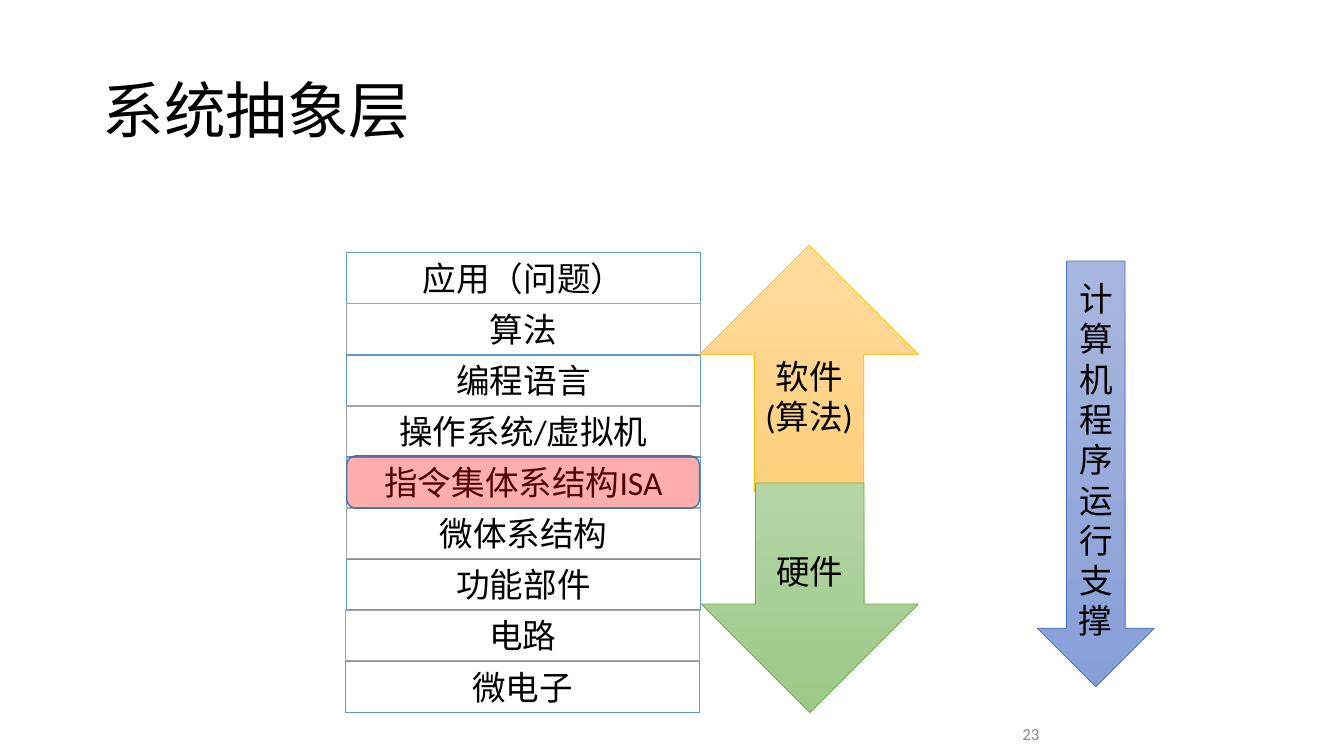
from pptx import Presentation
from pptx.dml.color import RGBColor
from pptx.enum.shapes import MSO_SHAPE
from pptx.enum.text import MSO_ANCHOR, MSO_AUTO_SIZE, PP_ALIGN
from pptx.oxml.ns import qn
from pptx.util import Pt
from lxml import etree

RECT, ROUND = MSO_SHAPE.RECTANGLE, MSO_SHAPE.ROUNDED_RECTANGLE
UP, DOWN = MSO_SHAPE.UP_ARROW, MSO_SHAPE.DOWN_ARROW
TOP, MIDDLE = MSO_ANCHOR.TOP, MSO_ANCHOR.MIDDLE
LEFT, CENTER, RIGHT = PP_ALIGN.LEFT, PP_ALIGN.CENTER, PP_ALIGN.RIGHT

COLORS = {
    "black": "000000", "white": "FFFFFF", "gray": "8C8C8C",
    "blue": "5B9BD5", "silver": "A5A5A5", "red": "FF0000", "navy": "43739E",
    "gold": "FFC000", "gold_a": "FFDB9E", "gold_b": "FFD07C",
    "green": "70AD47", "green_a": "B5D5A7", "green_b": "9CC987",
    "indigo": "4472C4", "indigo_a": "A8B7DF", "indigo_b": "889ED7",
}
RGB = {name: RGBColor.from_string(code) for name, code in COLORS.items()}


def write(shape, text, size=24, color="black", align=CENTER, anchor=MIDDLE):
    frame = shape.text_frame
    frame.text = text
    frame.word_wrap = True
    frame.auto_size = MSO_AUTO_SIZE.NONE
    frame.vertical_anchor = anchor
    para = frame.paragraphs[0]
    para.alignment = align
    font = para.runs[0].font
    font.name, font.size = "Calibri", Pt(size)
    font.color.rgb = RGB[color]


def draw(kind, box, line, width):
    shape = slide.shapes.add_shape(kind, *[Pt(n) for n in box])
    shape.shadow.inherit = False
    shape.line.color.rgb = RGB[line]
    shape.line.width = Pt(width)
    return shape


deck = Presentation()
deck.slide_width, deck.slide_height = Pt(960), Pt(540)
slide = deck.slides.add_slide(deck.slide_layouts[5])

# Title
title = slide.shapes.title
title.left, title.top, title.width, title.height = Pt(66), Pt(28.8), Pt(828), Pt(104.4)
write(title, "系统抽象层", 44, align=LEFT)
title.text_frame.paragraphs[0].line_spacing = 0.9

# Page number
number = slide.shapes.add_textbox(Pt(533.5), Pt(509.8), Pt(216), Pt(28.8))
write(number, "23", 12, "gray", RIGHT)

# Stack of layers
layers = ["应用（问题）", "算法", "编程语言", "操作系统/虚拟机", "指令集体系结构ISA",
          "微体系结构", "功能部件", "电路", "微电子"]
for i, name in enumerate(layers):
    left = 247.5 if i < 7 else 247
    line = "silver" if i % 2 else "blue"
    layer = draw(RECT, (left, 180.5 + 36.5 * i, 252.9, 36.35), line, 1)
    layer.fill.solid()
    layer.fill.fore_color.rgb = RGB["white"]
    write(layer, name, anchor=TOP)

# Arrows
arrows = [
    (UP, (499.9, 175, 156.2, 176.4), "软件(算法)", "gold"),
    (DOWN, (501, 345, 155, 164), "硬件", "green"),
    (DOWN, (741, 186.5, 83.5, 304), "计算机程序运行支撑", "indigo"),
]
for kind, box, text, tone in arrows:
    arrow = draw(kind, box, tone, 0.5)
    arrow.fill.gradient()
    arrow.fill.gradient_angle = 270
    for stop, end in zip(arrow.fill.gradient_stops, "ab"):
        stop.color.rgb = RGB[f"{tone}_{end}"]
        stop.position = 0 if end == "a" else 1
    write(arrow, text)

# Highlight on the ISA layer
mark = draw(ROUND, (247.7, 325.7, 252, 37.3), "navy", 1)
mark.fill.solid()
mark.fill.fore_color.rgb = RGB["red"]
tint = mark.fill._xPr.find(qn("a:solidFill"))[0]
etree.SubElement(tint, qn("a:alpha"), val="32000")

deck.save("out.pptx")
